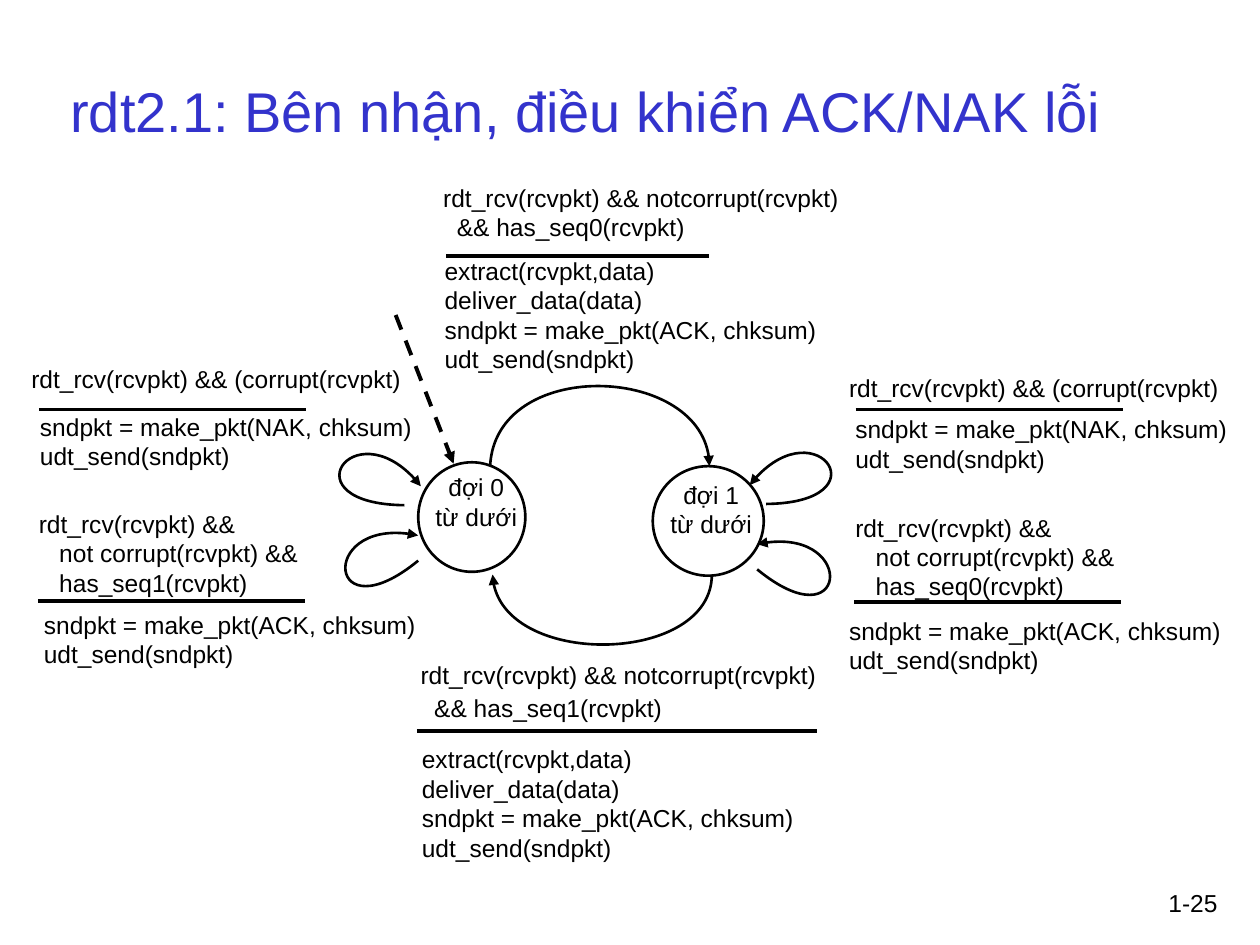
from lxml.etree import SubElement
from pptx import Presentation
from pptx.dml.color import RGBColor
from pptx.enum.dml import MSO_LINE
from pptx.enum.shapes import MSO_CONNECTOR, MSO_SHAPE
from pptx.enum.text import MSO_ANCHOR as Anchor, PP_ALIGN as Align
from pptx.oxml.ns import qn
from pptx.util import Pt

COLORS = {"title": "3333CC", "ink": "000000", "paper": "FFFFFF"}
FONT = "Arial"
BODY = 14
LEADING = 1.2  # line pitch as a multiple of the type size

CORRUPT = ["rdt_rcv(rcvpkt) && (corrupt(rcvpkt)"]
SEND_NAK = ["sndpkt = make_pkt(NAK, chksum)", "udt_send(sndpkt)"]
SEND_ACK = ["sndpkt = make_pkt(ACK, chksum)", "udt_send(sndpkt)"]
DELIVER = ["extract(rcvpkt,data)", "deliver_data(data)"] + SEND_ACK

# Self-loop curves on the left of a state, as offsets from their start
UPPER_LOOP = [(-67, -0.7), (-27.4, -57.6), (9.4, -10.8)]
LOWER_LOOP = [(-51.8, 42.5), (-57.6, -26.6), (0, -14.4)]


def rgb(name):
    return RGBColor.from_string(COLORS[name])


def expected(seq):
    return ["rdt_rcv(rcvpkt) && notcorrupt(rcvpkt)", f"  && has_seq{seq}(rcvpkt)"]


def duplicate(seq):
    return ["rdt_rcv(rcvpkt) &&", "   not corrupt(rcvpkt) &&",
            f"   has_seq{seq}(rcvpkt)"]


def add_text(shapes, box, lines, size=BODY, color="ink", align=Align.LEFT,
             anchor=Anchor.TOP, gap=0):
    frame = shapes.add_textbox(*map(Pt, box)).text_frame
    frame.word_wrap = True
    frame.vertical_anchor = anchor
    frame.text = "\n".join(lines)
    for index, paragraph in enumerate(frame.paragraphs):
        paragraph.alignment = align
        paragraph.line_spacing = Pt(size * LEADING)
        if gap and index:
            paragraph.space_before = Pt(gap)
        font = paragraph.font
        font.name, font.size = FONT, Pt(size)
        font.color.rgb = rgb(color)


def set_line(shape, width, arrow=False, dash=None):
    shape.line.color.rgb = rgb("ink")
    shape.line.width = Pt(width)
    if dash:
        shape.line.dash_style = dash
    if arrow:
        outline = shape.element.spPr.find(qn("a:ln"))
        SubElement(outline, qn("a:tailEnd"), type="triangle")


def add_line(shapes, start, end, **style):
    line = shapes.add_connector(MSO_CONNECTOR.STRAIGHT, *map(Pt, start + end))
    set_line(line, 2.25, **style)
    SubElement(line.element.spPr, qn("a:effectLst"))


def add_curved_arrow(shapes, start, controls_and_end):
    """Draw one cubic curve with an arrowhead at its end."""
    builder = shapes.build_freeform(*map(Pt, start))
    builder.add_line_segments([(Pt(x), Pt(y)) for x, y in controls_and_end],
                              close=False)
    curve = builder.convert_to_shape()
    # Turn the three segments into a single Bezier segment
    path = curve.element.find(".//" + qn("a:path"))
    segments = path.findall(qn("a:lnTo"))
    bezier = SubElement(path, qn("a:cubicBezTo"))
    for segment in segments:
        bezier.append(segment[0])
        path.remove(segment)
    curve.fill.background()
    curve.shadow.inherit = False
    set_line(curve, 1.5, arrow=True)


def add_loop(shapes, start, offsets, side):
    """side is 1 for a loop to the left, -1 for its mirror to the right."""
    x, y = start
    add_curved_arrow(shapes, start, [(x + side * dx, y + dy) for dx, dy in offsets])


def add_state(shapes, box, label, label_dx, label_dy):
    left, top, width, height = box
    state = shapes.add_group_shape().shapes
    circle = state.add_shape(MSO_SHAPE.OVAL, *map(Pt, box))
    circle.fill.solid()
    circle.fill.fore_color.rgb = rgb("paper")
    circle.shadow.inherit = False
    set_line(circle, 1.5)
    add_text(state, (left + label_dx, top + label_dy, 62.6, 48), [label],
             align=Align.CENTER)


def add_transition(shapes, box, condition, action, rule, action_at, gap=0):
    """Condition over a rule over an action; rule is (dx, dy, length)."""
    left, top, width, height = box
    add_text(shapes, box, condition, gap=gap)
    dx, dy, length = rule
    add_line(shapes, (left + dx, top + dy), (left + dx + length, top + dy))
    dx, dy = action_at
    add_text(shapes, (left + dx, top + dy, 238, 18 * len(action)), action)


def add_machine(shapes):
    # States and the start arrow
    add_state(shapes, (239, 264.2, 61.2, 62.6), "đợi 0 từ dưới", 1.9, 2.2)
    add_state(shapes, (373, 266.4, 63.4, 62.6), "đợi 1 từ dưới", 2.1, 4.3)
    add_line(shapes, (226.1, 180), (259.2, 265), arrow=True, dash=MSO_LINE.DASH)

    # Arcs between the states
    add_curved_arrow(shapes, (280.1, 266.4),
                     [(283, 204.5), (405.4, 208.1), (405.4, 266.4)])
    add_curved_arrow(shapes, (406.8, 328.3),
                     [(406.8, 379.4), (283.7, 382.3), (281.5, 328.3)])

    # Self-loops
    for start, offsets, side in [
        ((231.1, 288.7), UPPER_LOOP, 1),
        ((239, 320.4), LOWER_LOOP, 1),
        ((437.8, 288), UPPER_LOOP, -1),
        ((432.7, 325.4), LOWER_LOOP, -1),
    ]:
        add_loop(shapes, start, offsets, side)

    # Transition labels: across the top and bottom, then left and right
    add_transition(shapes, (246.2, 100.8, 313, 45), expected(0), DELIVER,
                   (8.7, 45.4, 150.5), (0.8, 41.8))
    add_transition(shapes, (233.3, 373.7, 282, 45), expected(1), DELIVER,
                   (5, 43.9, 228.3), (0.7, 48.2), gap=2)
    add_transition(shapes, (10.8, 204.5, 226, 48), CORRUPT, SEND_NAK,
                   (11.5, 29.5, 152.6), (5, 27.3))
    add_transition(shapes, (15.1, 287.3, 207, 48), duplicate(1), SEND_ACK,
                   (6.5, 56.1, 152.6), (2.9, 57.6))
    add_transition(shapes, (478.1, 209.5, 226, 48), CORRUPT, SEND_NAK,
                   (10.8, 24.5, 152.6), (3.6, 23.8))
    add_transition(shapes, (481.7, 289.4, 207, 48), duplicate(0), SEND_ACK,
                   (6.5, 54.8, 152.6), (-3.6, 59.1))


def main():
    deck = Presentation()
    deck.slide_width, deck.slide_height = Pt(720), Pt(540)
    shapes = deck.slides.add_slide(deck.slide_layouts[6]).shapes

    add_text(shapes, (33.1, 18, 655.2, 90),
             ["rdt2.1: Bên nhận, điều khiển ACK/NAK lỗi"],
             size=32, color="title", anchor=Anchor.MIDDLE)
    add_machine(shapes)
    add_text(shapes, (653.8, 504, 49, 36), ["1-25"], align=Align.RIGHT)
    deck.save("out.pptx")


if __name__ == "__main__":
    main()
